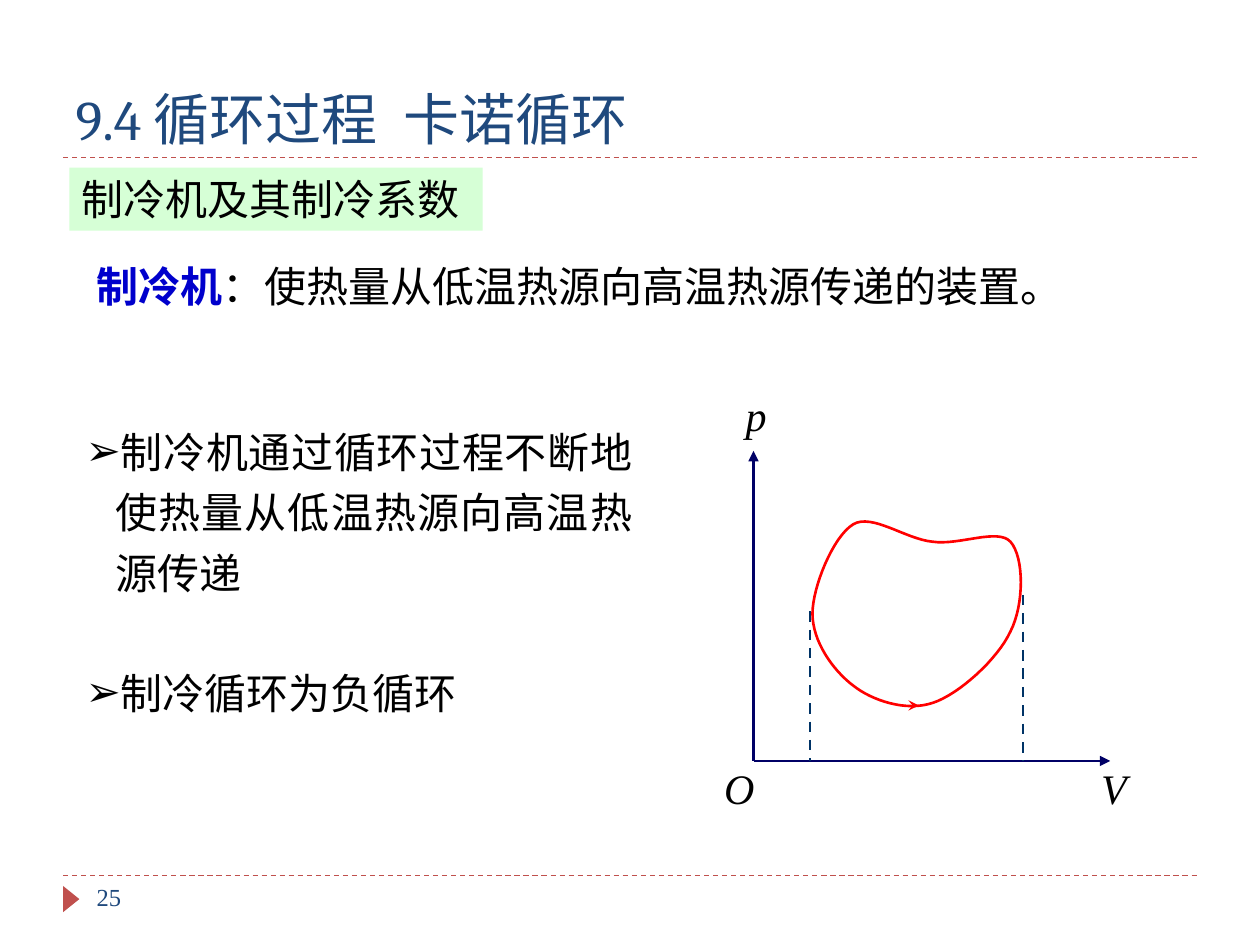
from lxml.etree import SubElement
from pptx import Presentation
from pptx.dml.color import RGBColor
from pptx.enum.dml import MSO_LINE
from pptx.enum.shapes import MSO_CONNECTOR, MSO_SHAPE
from pptx.enum.text import MSO_ANCHOR, MSO_AUTO_SIZE, PP_ALIGN
from pptx.oxml.ns import qn
from pptx.util import Cm, Pt

COLORS = {
    "title": "1F497D", "rule": "C0504D", "text": "000000", "term": "0000CC",
    "band": "CCFFCC", "axis": "000066", "guide": "003366", "cycle": "FF0000",
}
CYCLE_START = (16.38, 12.37)
# Two control points and an end point for each Bézier segment, in cm
CYCLE_SEGMENTS = [
    ((16.38, 11.84), (16.79, 10.82), (17.2, 10.57)),
    ((17.58, 10.34), (18.26, 10.87), (18.8, 10.92)),
    ((19.33, 11), (20.12, 10.64), (20.37, 10.92)),
    ((20.65, 11.23), (20.65, 12.19), (20.37, 12.73)),
    ((20.12, 13.28), (19.33, 14), (18.8, 14.17)),
    ((18.26, 14.35), (17.58, 14.12), (17.2, 13.82)),
    ((16.79, 13.51), (16.38, 12.93), CYCLE_START),
]


def color(name):
    return RGBColor.from_string(COLORS[name])


def add_text(p, text, size=24, font="Times New Roman", fill="text",
             bold=False, italic=False):
    r = p.add_run()
    r.text = text
    r.font.size, r.font.name = Pt(size), font
    r.font.bold, r.font.italic = bold, italic
    r.font.color.rgb = color(fill)


def place(sp, left, top, width, height):
    sp.left, sp.top, sp.width, sp.height = map(Cm, (left, top, width, height))


def add_box(s, left, top, width, height, inset=None):
    """Add a wrapping text box and return its first paragraph."""
    tf = s.shapes.add_textbox(*map(Cm, (left, top, width, height))).text_frame
    tf.word_wrap = True
    if inset is not None:
        tf.margin_left = tf.margin_top = tf.margin_right = tf.margin_bottom = Cm(inset)
    return tf.paragraphs[0]


def add_line(s, start, end, stroke, width=1.5, dash=False, head=None):
    sp = s.shapes.add_connector(MSO_CONNECTOR.STRAIGHT, *map(Cm, start + end))
    sp.line.color.rgb = color(stroke)
    sp.line.width = Pt(width)
    if dash:
        sp.line.dash_style = MSO_LINE.DASH
    if head:
        SubElement(sp.line._get_or_add_ln(), qn("a:tailEnd"), type=head)
    SubElement(sp._element.spPr, qn("a:effectLst"))


def add_shape(s, kind, left, top, width, height, fill):
    sp = s.shapes.add_shape(kind, *map(Cm, (left, top, width, height)))
    sp.shadow.inherit = False
    sp.fill.solid()
    sp.fill.fore_color.rgb = color(fill)
    sp.line.fill.background()
    return sp


def add_title(s, text):
    sp = s.shapes.title
    place(sp, 1.27, 0.64, 22.86, 2.54)
    sp.text_frame.vertical_anchor = MSO_ANCHOR.BOTTOM
    p = sp.text_frame.paragraphs[0]
    p.alignment = PP_ALIGN.LEFT
    add_text(p, text, size=32, font="Cambria", fill="title")


def add_heading(s, text):
    sp = add_shape(s, MSO_SHAPE.RECTANGLE, 1.4, 3.38, 8.33, 1.27, "band")
    rgb = sp._element.spPr.find(qn("a:solidFill")).find(qn("a:srgbClr"))
    SubElement(rgb, qn("a:alpha"), val="80000")
    tf = sp.text_frame
    tf.word_wrap = False
    tf.vertical_anchor = MSO_ANCHOR.MIDDLE
    tf.paragraphs[0].alignment = PP_ALIGN.LEFT
    add_text(tf.paragraphs[0], text)


def add_bullets(s, items):
    sp = s.placeholders[1]
    place(sp, 1.47, 8.26, 11.53, 6.5)
    tf = sp.text_frame
    tf.auto_size = MSO_AUTO_SIZE.NONE
    for i, item in enumerate(items):
        p = tf.add_paragraph() if i else tf.paragraphs[0]
        p.alignment = PP_ALIGN.JUSTIFY
        p.line_spacing = 1.2
        p.space_before = Pt(34 if i else 0)
        pPr = p._p.get_or_add_pPr()
        pPr.set("marL", str(Cm(0.6)))
        pPr.set("indent", str(-Cm(0.6)))
        SubElement(pPr, qn("a:buChar"), char="➢")
        add_text(p, item)


def bezier_points(start, segments, steps=16):
    points = []
    for a, b, end in segments:
        for t in (i / steps for i in range(1, steps + 1)):
            u = 1 - t
            weights = (u ** 3, 3 * u * u * t, 3 * u * t * t, t ** 3)
            points.append(tuple(
                Cm(sum(w * q[axis] for w, q in zip(weights, (start, a, b, end))))
                for axis in (0, 1)))
        start = end
    return points


def add_cycle(s):
    builder = s.shapes.build_freeform(*map(Cm, CYCLE_START))
    builder.add_line_segments(bezier_points(CYCLE_START, CYCLE_SEGMENTS), close=True)
    sp = builder.convert_to_shape()
    sp.shadow.inherit = False
    sp.fill.background()
    sp.line.color.rgb = color("cycle")
    sp.line.width = Pt(1.5)


def add_diagram(s):
    x0, y0 = origin = (15.19, 15.34)
    for end in ((22.38, y0), (x0, 9.09)):
        add_line(s, origin, end, "axis", head="triangle")
    add_cycle(s)
    for x, top in ((16.33, 12.32), (20.62, 11.99)):
        add_line(s, (x, top), (x, y0), "guide", dash=True)
    add_line(s, (18.14, 14.22), (18.52, 14.22), "cycle", width=0.75, head="stealth")
    for label, x, y in (("p", 15.03, 7.85), ("O", 14.6, 15.37), ("V", 22.2, 15.37)):
        add_text(add_box(s, x, y, 1.2, 1.1, inset=0), label, italic=True)


def main():
    prs = Presentation()
    prs.slide_width, prs.slide_height = Cm(25.4), Cm(19.05)
    s = prs.slides.add_slide(prs.slide_layouts[1])

    for y in (17.65, 3.18):
        add_line(s, (1.27, y), (24.13, y), "rule", width=0.75, dash=True)
    add_shape(s, MSO_SHAPE.ISOSCELES_TRIANGLE, 1.17, 17.96, 0.53, 0.33, "rule").rotation = 90
    add_text(add_box(s, 1.7, 17.65, 5.5, 1), "25", size=14, fill="title")

    add_title(s, "9.4 循环过程  卡诺循环")
    add_heading(s, "制冷机及其制冷系数")
    p = add_box(s, 1.7, 4.88, 20.1, 1.52)
    p.line_spacing = 1.25
    add_text(p, "制冷机", fill="term", bold=True)
    add_text(p, "：使热量从低温热源向高温热源传递的装置。")
    add_bullets(s, ["制冷机通过循环过程不断地使热量从低温热源向高温热源传递",
                    "制冷循环为负循环"])
    add_diagram(s)
    prs.save("out.pptx")


if __name__ == "__main__":
    main()
